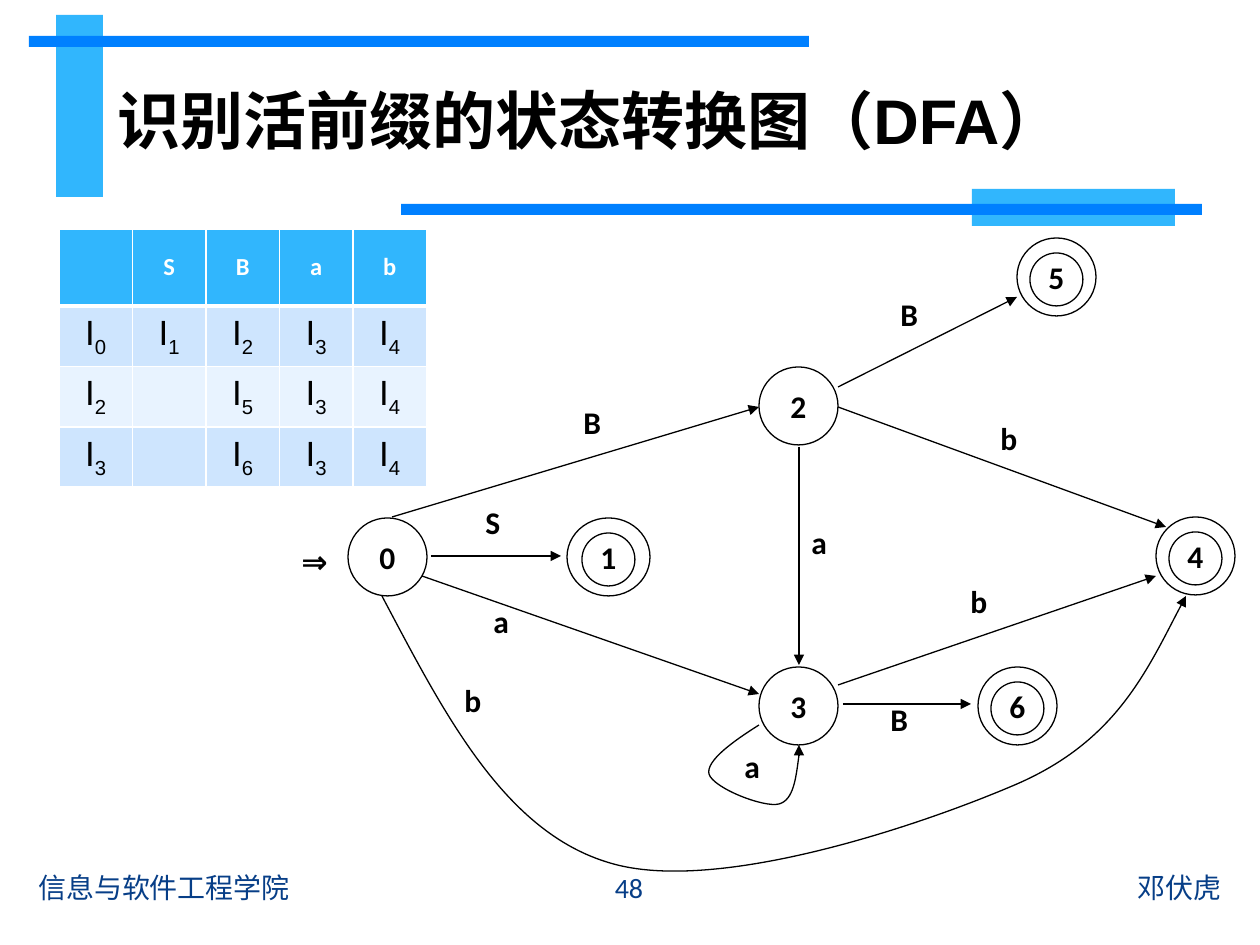
from dataclasses import dataclass
from lxml.etree import SubElement
from pptx import Presentation
from pptx.dml.color import RGBColor
from pptx.enum.shapes import MSO_CONNECTOR as Connector, MSO_SHAPE as Shape
from pptx.enum.text import MSO_ANCHOR as Anchor, PP_ALIGN as Align
from pptx.oxml.ns import qn
from pptx.util import Pt

EMU_PER_PX = 914400 / 126


@dataclass(frozen=True)
class Theme:
    sky: str = "31B6FD"
    blue: str = "0080FF"
    navy: str = "073E87"
    black: str = "000000"
    white: str = "FFFFFF"
    bands: tuple = ("CEE5FE", "E8F3FF")
    heading_font: str = "Arial"
    body_font: str = "Calibri"
    title: int = 36
    item: int = 20
    state: int = 18
    footer: int = 16
    header: int = 14
    stroke: float = 0.75


THEME = Theme()

# left, top, width, height, colour
BARS = [
    (56, 15, 47, 182, THEME.sky),
    (29, 36, 780, 11, THEME.blue),
    (972, 189, 203, 37, THEME.sky),
    (401, 204, 801, 11, THEME.blue),
]
FOOTERS = [
    ("信息与软件工程学院", 26, 522, Align.LEFT),
    ("48", 549, 160, Align.CENTER),
    ("邓伏虎", 712, 522, Align.RIGHT),
]
# state, left, top, width, accepting
STATES = [
    ("0", 348, 518, 79, False),
    ("1", 567, 518, 83, True),
    ("2", 759, 367, 79, False),
    ("3", 759, 667, 79, False),
    ("4", 1156, 517, 79, True),
    ("5", 1017, 238, 79, True),
    ("6", 978, 667, 79, True),
]
# symbol, label corner, arrow start, arrow end
TRANSITIONS = [
    ("S", (473, 497), (431, 556), (561, 556)),
    ("B", (571, 397), (392, 517), (759, 407)),
    ("a", (481, 596), (422, 576), (759, 694)),
    ("a", (799, 517), (799, 447), (799, 665)),
    ("B", (888, 289), (838, 387), (1017, 297)),
    ("b", (988, 413), (838, 407), (1166, 527)),
    ("b", (958, 576), (838, 685), (1156, 576)),
    ("B", (878, 694), (843, 704), (971, 704)),
    ("b", (452, 675), (1176, 615), (1186, 596)),
    ("a", (732, 741), (799, 755), (799, 745)),
]
# Start point, then two control points and an end point per segment
CURVES = [
    [(382, 596), (444, 713), (504, 832), (610, 863), (716, 895), (922, 825),
     (1017, 784), (1111, 743), (1143, 679), (1176, 615)],
    [(759, 725), (732, 742), (706, 761), (709, 774), (713, 788), (764, 808),
     (779, 804), (794, 800), (796, 777), (799, 755)],
]
SYMBOLS = ["", "S", "B", "a", "b"]
GOTO_ROWS = ["01234", "2 534", "3 634"]


def px(*lengths):
    return [round(length * EMU_PER_PX) for length in lengths]


def colour(code):
    return RGBColor.from_string(code)


def add_run(paragraph, text, size, code=THEME.black, bold=False, face=THEME.body_font):
    run = paragraph.add_run()
    run.text = text
    run.font.size, run.font.bold, run.font.name = Pt(size), bold, face
    run.font.color.rgb = colour(code)
    return run


def add_text(slide, box, text, size, align=Align.LEFT, anchor=Anchor.TOP,
             wrap=False, **style):
    frame = slide.shapes.add_textbox(*px(*box)).text_frame
    frame.word_wrap, frame.vertical_anchor = wrap, anchor
    paragraph = frame.paragraphs[0]
    paragraph.alignment = align
    add_run(paragraph, text, size, **style)


def outline(shape):
    shape.shadow.inherit = False
    shape.fill.background()
    shape.line.color.rgb = colour(THEME.black)
    shape.line.width = Pt(THEME.stroke)


def add_bar(slide, left, top, width, height, code):
    bar = slide.shapes.add_shape(Shape.RECTANGLE, *px(left, top, width, height))
    bar.shadow.inherit = False
    bar.fill.solid()
    bar.fill.fore_color.rgb = colour(code)
    bar.line.fill.background()


def add_state(slide, name, left, top, width, accepting):
    if accepting:
        inner = 53
        outline(slide.shapes.add_shape(
            Shape.OVAL, *px(left + (width - inner) // 2, top + 15, inner, inner)))
    circle = slide.shapes.add_shape(Shape.OVAL, *px(left, top, width, 78))
    outline(circle)
    frame = circle.text_frame
    frame.word_wrap, frame.vertical_anchor = False, Anchor.MIDDLE
    frame.paragraphs[0].alignment = Align.CENTER
    add_run(frame.paragraphs[0], name, THEME.state, bold=True)


def add_transition(slide, symbol, corner, start, end):
    arrow = slide.shapes.add_connector(Connector.STRAIGHT, *px(*start, *end))
    arrow.line.color.rgb = colour(THEME.black)
    arrow.line.width = Pt(THEME.stroke)
    SubElement(arrow.line._get_or_add_ln(), qn("a:tailEnd"), type="triangle")
    SubElement(arrow._element.spPr, qn("a:effectLst"))
    add_text(slide, (*corner, 43, 50), symbol, THEME.state, bold=True)


def add_curve(slide, points):
    builder = slide.shapes.build_freeform(*points[0], scale=EMU_PER_PX)
    builder.add_line_segments(points[1:], close=False)
    curve = builder.convert_to_shape()
    outline(curve)
    # Turn each three line segments into one cubic segment
    outline_path = next(curve._element.iter(qn("a:path")))
    lines = outline_path.findall(qn("a:lnTo"))
    for first in range(0, len(lines), 3):
        cubic = SubElement(outline_path, qn("a:cubicBezTo"))
        for line in lines[first:first + 3]:
            cubic.append(line[0])
            outline_path.remove(line)


def style_cell(cell, fill, bottom=1):
    cell.vertical_anchor = Anchor.MIDDLE
    cell.text_frame.paragraphs[0].alignment = Align.CENTER
    properties = cell._tc.get_or_add_tcPr()
    for side, width in (("L", 1), ("R", 1), ("T", 1), ("B", bottom)):
        border = SubElement(properties, qn(f"a:ln{side}"), w=str(Pt(width)))
        SubElement(SubElement(border, qn("a:solidFill")), qn("a:srgbClr"), val=THEME.white)
    cell.fill.solid()
    cell.fill.fore_color.rgb = colour(fill)
    return cell.text_frame.paragraphs[0]


def add_goto_table(slide):
    table = slide.shapes.add_table(
        len(GOTO_ROWS) + 1, len(SYMBOLS), *px(59, 229, 368, 258)).table
    for column in table.columns:
        column.width = px(73.5)[0]
    for index, row in enumerate(table.rows):
        row.height = px(60 if index else 77)[0]
    for column, symbol in enumerate(SYMBOLS):
        paragraph = style_cell(table.cell(0, column), THEME.sky, bottom=3)
        if symbol:
            add_run(paragraph, symbol, THEME.header, THEME.white, bold=True)
    for row, targets in enumerate(GOTO_ROWS):
        for column, target in enumerate(targets):
            paragraph = style_cell(table.cell(row + 1, column), THEME.bands[row % 2])
            if target != " ":
                add_run(paragraph, "I", THEME.item, face=THEME.heading_font)
                subscript = add_run(paragraph, target, THEME.item, face=THEME.heading_font)
                subscript.font._element.set("baseline", "-25000")


def main():
    deck = Presentation()
    deck.slide_width, deck.slide_height = px(1260, 945)
    slide = deck.slides.add_slide(deck.slide_layouts[6])

    # Frame, footer and title
    for bar in BARS:
        add_bar(slide, *bar)
    for text, left, width, align in FOOTERS:
        add_text(slide, (left, 862, width, 50), text, THEME.footer, align,
                 Anchor.MIDDLE, wrap=True, code=THEME.navy)
    add_text(slide, (105, 55, 973, 129), "识别活前缀的状态转换图（DFA）", THEME.title,
             anchor=Anchor.MIDDLE, wrap=True, bold=True, face=THEME.heading_font)

    # Automaton
    add_text(slide, (289, 536, 54, 49), "⇒", THEME.state, bold=True)
    for state in STATES:
        add_state(slide, *state)
    for points in CURVES:
        add_curve(slide, points)
    for transition in TRANSITIONS:
        add_transition(slide, *transition)

    # Table of transitions between item sets
    add_goto_table(slide)
    deck.save("out.pptx")


if __name__ == "__main__":
    main()
